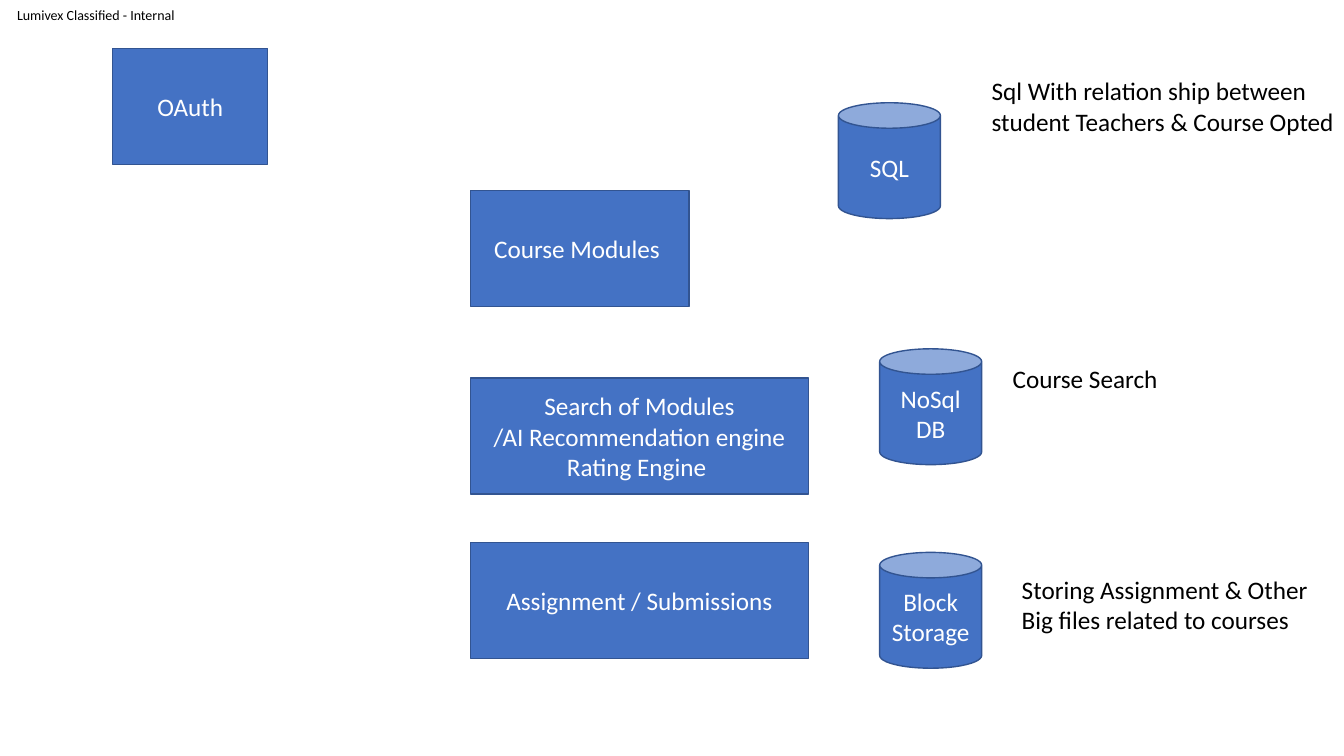
from dataclasses import dataclass

import pptx
import pptx.dml.color
import pptx.enum.shapes
import pptx.enum.text
import pptx.util

Cm = pptx.util.Cm
Pt = pptx.util.Pt
MSO_SHAPE = pptx.enum.shapes.MSO_SHAPE
MSO_ANCHOR = pptx.enum.text.MSO_ANCHOR
PP_ALIGN = pptx.enum.text.PP_ALIGN

FONT = "Calibri"
BLUE, OUTLINE = "4472C4", "325491"
WHITE, BLACK = "FFFFFF", "000000"
NODE_H = 2.92
CAN_W = 2.57
SERVICE_X = 11.86
WIDE_W = 8.51
STORE_X = 22.17


@dataclass
class Node:
    text: str
    x: float
    y: float
    w: float
    kind: MSO_SHAPE = MSO_SHAPE.RECTANGLE


@dataclass
class Note:
    text: str
    x: float
    y: float
    w: float
    h: float


NODES = [
    Node("Course Modules ", SERVICE_X, 4.8, 5.51),
    Node("OAuth", 2.84, 1.22, 3.91),
    Node("Search of Modules\n/AI Recommendation engine\nRating Engine ", SERVICE_X, 9.53, WIDE_W),
    Node("Assignment / Submissions", SERVICE_X, 13.67, WIDE_W),
    Node("SQL", 21.13, 2.59, CAN_W, MSO_SHAPE.CAN),
    Node("NoSql DB", STORE_X, 8.79, CAN_W, MSO_SHAPE.CAN),
    Node("Block Storage", STORE_X, 13.92, CAN_W, MSO_SHAPE.CAN),
]

NOTES = [
    Note("Sql With relation ship between\nstudent Teachers & Course Opted", 24.74, 1.78, 9.25, 1.8),
    Note("Course Search", 25.27, 9.02, 4.34, 1.02),
    Note("Storing Assignment & Other\nBig files related to courses", 25.5, 14.35, 7.95, 1.8),
]


def rgb(value: str) -> pptx.dml.color.RGBColor:
    return pptx.dml.color.RGBColor.from_string(value)


def write(tf, text: str, *, size: float = 18, color: str = BLACK,
          align=PP_ALIGN.LEFT, anchor=MSO_ANCHOR.TOP, wrap: bool = False) -> None:
    tf.text = text
    tf.word_wrap = wrap
    tf.vertical_anchor = anchor
    for p in tf.paragraphs:
        p.alignment = align
        p.font.name = FONT
        p.font.size = Pt(size)
        p.font.color.rgb = rgb(color)


def add_node(s, node: Node) -> None:
    sp = s.shapes.add_shape(node.kind, Cm(node.x), Cm(node.y), Cm(node.w), Cm(NODE_H))
    sp.shadow.inherit = False
    sp.fill.solid()
    sp.fill.fore_color.rgb = rgb(BLUE)
    sp.line.color.rgb = rgb(OUTLINE)
    sp.line.width = Pt(1)
    write(sp.text_frame, node.text, color=WHITE, align=PP_ALIGN.CENTER,
          anchor=MSO_ANCHOR.MIDDLE, wrap=True)


def add_note(s, note: Note) -> None:
    sp = s.shapes.add_textbox(Cm(note.x), Cm(note.y), Cm(note.w), Cm(note.h))
    write(sp.text_frame, note.text)


def add_marking(s, text: str) -> None:
    sp = s.shapes.add_textbox(0, 0, Cm(4.6), Cm(0.74))
    tf = sp.text_frame
    tf.margin_left = Cm(0.43)
    tf.margin_top = tf.margin_right = tf.margin_bottom = 0
    write(tf, text, size=10, anchor=MSO_ANCHOR.MIDDLE)


def main() -> None:
    prs = pptx.Presentation()
    prs.slide_width, prs.slide_height = Cm(33.87), Cm(19.05)
    s = prs.slides.add_slide(prs.slide_layouts[6])
    add_marking(s, "Lumivex Classified - Internal")
    for node in NODES:
        add_node(s, node)
    for note in NOTES:
        add_note(s, note)
    prs.save("out.pptx")


if __name__ == "__main__":
    main()
